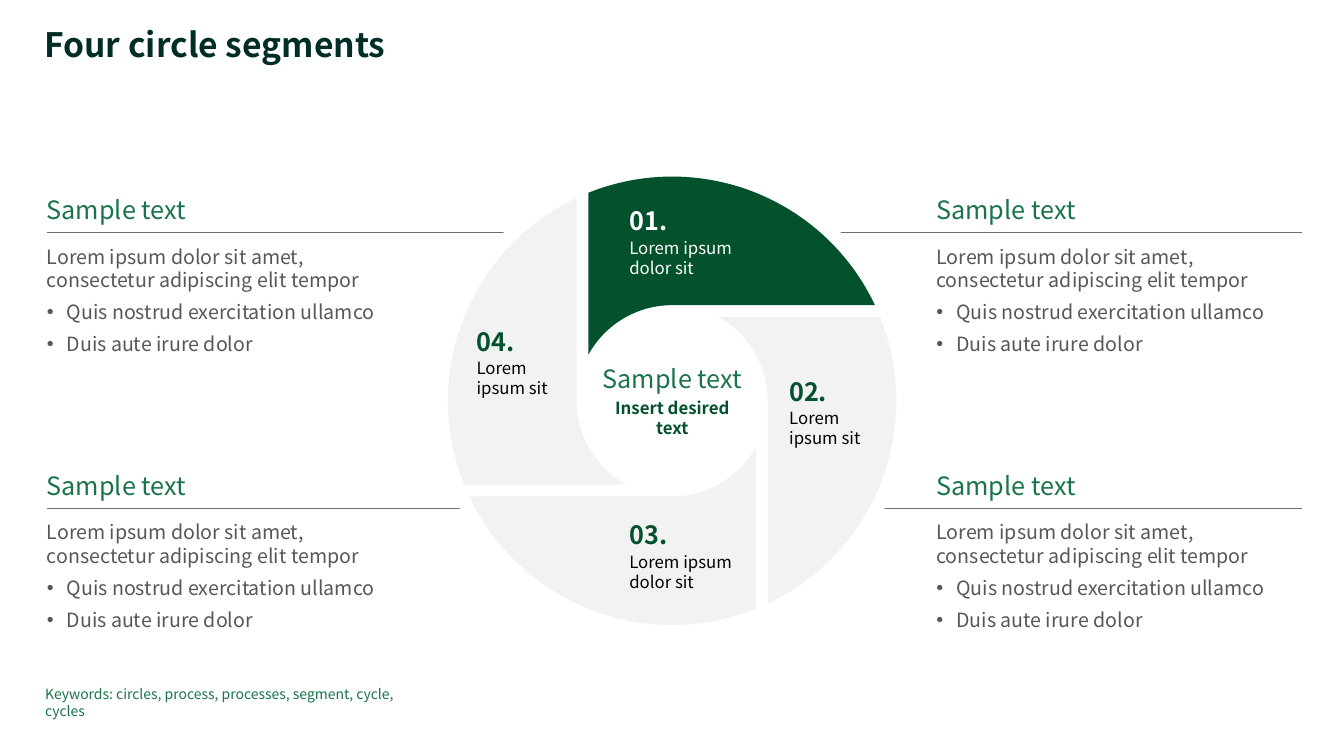
from math import asin, acos, cos, pi, sin, tan

from lxml.etree import SubElement
from pptx import Presentation
from pptx.dml.color import RGBColor
from pptx.enum.shapes import MSO_CONNECTOR as Connector, MSO_SHAPE as Shape
from pptx.enum.text import MSO_ANCHOR as Anchor, MSO_AUTO_SIZE as AutoSize, PP_ALIGN as Align
from pptx.oxml.ns import qn
from pptx.util import Cm, Pt

# Content
TITLE = "Four circle segments"
HEADING = "Sample text"
INTRO = "Lorem ipsum dolor sit amet, \vconsectetur adipiscing elit tempor"
BULLETS = ["Quis nostrud exercitation ullamco", "Duis aute irure dolor"]
HUB = ["Sample text", "Insert desired text"]
KEYWORDS = "Keywords: circles, process, processes, segment, cycle, cycles"
# number, caption, left, top, width, segment fill, number colour, caption colour
SEGMENTS = [
    ("01.", "Lorem ipsum dolor sit", 15.86, 5.17, 2.59, "03522D", "FFFFFF", "FFFFFF"),
    ("02.", "Lorem ipsum sit", 19.89, 9.47, 2.21, "F2F2F2", "03522D", "000000"),
    ("03.", "Lorem ipsum dolor sit", 15.86, 13.09, 2.59, "F2F2F2", "03522D", "000000"),
    ("04.", "Lorem ipsum sit", 12.01, 8.21, 2.21, "F2F2F2", "03522D", "000000"),
]

# Layout in centimetres
RULE_TOPS = [5.86, 12.81]
# rule start, rule end, text left, text width
COLUMNS = [(20.73, 32.8, 23.6, 9.2), (1.19, 13.27, 1.18, 9.9)]
CENTER_X, CENTER_Y = 16.94, 10.1
DISC, OUTER, INNER, CUT = 6.0, 5.65, 2.41, 2.11

# Text formats
FONT = "Noto Sans CJK JP"
GREEN, DARK_GREEN = "1A7449", "03522D"
FRAME = {"margin_left": 0, "margin_top": 0, "margin_right": 0, "margin_bottom": 0,
         "word_wrap": True, "vertical_anchor": Anchor.TOP,
         "auto_size": AutoSize.SHAPE_TO_FIT_TEXT}
MIDDLE = {"vertical_anchor": Anchor.MIDDLE}
HEADING_FRAME = {"vertical_anchor": Anchor.BOTTOM, "margin_bottom": Cm(0.2)}
BODY_FRAME = {"margin_top": Cm(0.3), "margin_bottom": Cm(0.2)}
BODY_SPACE = {"space_after": Pt(6)}
HUB_SPACE = {"space_after": Pt(3), "alignment": Align.CENTER}


def rgb(value):
    return RGBColor.from_string(value)


def apply(target, values):
    for name, value in values.items():
        setattr(target, name, value)


def write(frame, lines, frame_format=None):
    """Each line is text, size, colour, bold, paragraph format, bulleted."""
    apply(frame, FRAME | (frame_format or {}))
    for index, (text, size, color, bold, layout, bulleted) in enumerate(lines):
        paragraph = frame.add_paragraph() if index else frame.paragraphs[0]
        paragraph.text = text
        apply(paragraph, layout)
        if bulleted:
            props = paragraph._p.get_or_add_pPr()
            props.set("marL", str(Cm(0.5)))
            props.set("indent", str(-Cm(0.5)))
            SubElement(props, qn("a:buFont")).set("typeface", "Arial")
            SubElement(props, qn("a:buChar")).set("char", "•")
        for run in paragraph.runs:
            apply(run.font, {"name": FONT, "size": Pt(size), "bold": bold})
            run.font.color.rgb = rgb(color)


def line(text, size, color, bold=False, layout=None, bulleted=False):
    return text, size, color, bold, layout or {}, bulleted


def add_text(box, lines, frame_format=None):
    write(shapes.add_textbox(*map(Cm, box)).text_frame, lines, frame_format)


def paint(shape, color):
    shape.shadow.inherit = False
    shape.fill.solid()
    shape.fill.fore_color.rgb = rgb(color)
    shape.line.fill.background()


def arc(radius, start, end):
    """Two handles and the end point of a Bézier arc."""
    reach = 4 / 3 * tan((end - start) / 4)
    return [(radius * (cos(angle) - pull * sin(angle)), radius * (sin(angle) + pull * cos(angle)))
            for angle, pull in ((start, reach), (end, -reach), (end, 0))]


def add_curved_outline(points, curve_starts):
    """Points from each curve start on are two handles and an end point."""
    places = [(Cm(CENTER_X + x), Cm(CENTER_Y + y)) for x, y in points]
    builder = shapes.build_freeform(*places[0])
    builder.add_line_segments(places[1:], close=True)
    shape = builder.convert_to_shape()
    steps = list(shape._element.iter(qn("a:lnTo")))
    for start in curve_starts:
        curve, *rest = steps[start:start + 3]
        curve.tag = qn("a:cubicBezTo")
        for step in rest:
            curve.append(step[0])
            step.getparent().remove(step)
    return shape


deck = Presentation()
deck.slide_width, deck.slide_height = Cm(33.87), Cm(19.05)
slide = deck.slides.add_slide(deck.slide_layouts[5])
shapes = slide.shapes

# Title
title = shapes.title
title.left, title.top, title.width, title.height = map(Cm, (1.12, 0.71, 28.02, 0.94))
write(title.text_frame,
      [line(TITLE, 24, "002D28", True, {"line_spacing": 0.9, "alignment": Align.LEFT})])

# Rules and text blocks on both sides
for rule_start, rule_end, left, width in COLUMNS:
    for top in RULE_TOPS:
        rule = shapes.add_connector(Connector.STRAIGHT, Cm(rule_start), Cm(top),
                                    Cm(rule_end), Cm(top))
        rule.line.width = Pt(0.5)
        rule.line.color.rgb = rgb("6E6F73")
        SubElement(rule._element.spPr, qn("a:effectLst"))
        add_text((left, top - 0.97, width, 0.97), [line(HEADING, 18, GREEN)], HEADING_FRAME)
        body = [line(INTRO, 14, "575757", layout=BODY_SPACE)]
        body += [line(item, 14, "575757", layout=BODY_SPACE, bulleted=True) for item in BULLETS]
        add_text((left, top, width, 3.33), body, BODY_FRAME)

# White disc that ends the rules
disc = shapes.add_shape(Shape.OVAL, Cm(CENTER_X - DISC), Cm(CENTER_Y - DISC),
                        Cm(2 * DISC), Cm(2 * DISC))
paint(disc, "FFFFFF")

# Segments: one outline, turned a quarter for each next number
inner_end, outer_start = -acos(-CUT / INNER), -acos(-CUT / OUTER)
outer_end = -asin(INNER / OUTER)
outline = [(OUTER * cos(outer_end), -INNER), (0, -INNER),
           *arc(INNER, -pi / 2, inner_end),
           (-CUT, OUTER * sin(outer_start)),
           *arc(OUTER, outer_start, -pi / 2), *arc(OUTER, -pi / 2, outer_end)]
for number, caption, left, top, width, fill, number_color, caption_color in SEGMENTS:
    paint(add_curved_outline(outline, (1, 5, 8)), fill)
    add_text((left, top + 0.81, width, 1.02), [line(caption, 12, caption_color)])
    add_text((left, top, width, 0.76), [line(number, 18, number_color, True)], MIDDLE)
    outline = [(-y, x) for x, y in outline]

# Hub and keywords
add_text((15.19, 9.14, 3.51, 1.9),
         [line(HUB[0], 18, GREEN, layout=HUB_SPACE),
          line(HUB[1], 12, DARK_GREEN, True, HUB_SPACE)], MIDDLE)
add_text((1.14, 17.27, 9.75, 0.43), [line(KEYWORDS, 10, GREEN)])

deck.save("out.pptx")
